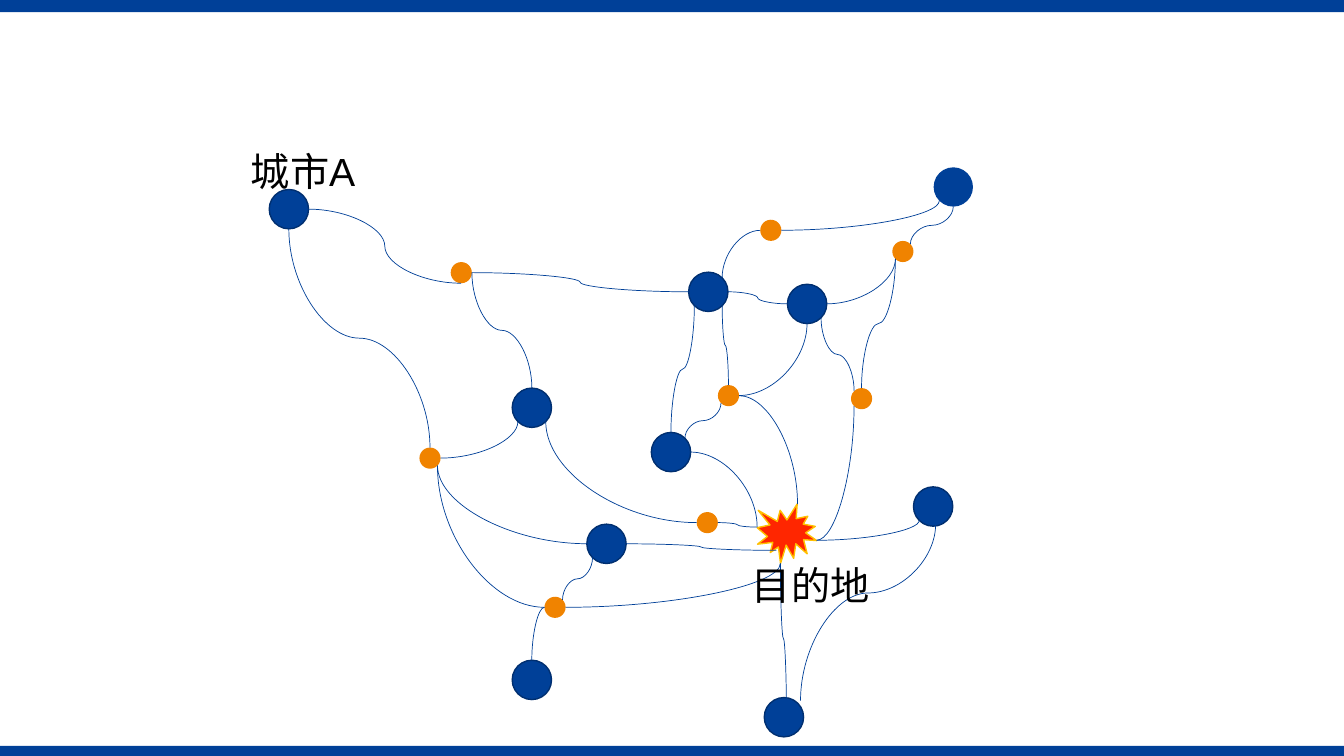
"""Build a slide with a road network leading from city A to a destination."""
from math import sqrt

from lxml import etree
from pptx import Presentation
from pptx import util as u
from pptx.dml.color import RGBColor
from pptx.enum import shapes, text
from pptx.oxml.ns import qn

CITY_SIZE, JUNCTION_SIZE = 0.39, 0.21
CITIES = {
    "A": (2.67, 1.88), "B": (5.08, 3.85), "C": (6.83, 2.7), "D": (7.81, 2.82),
    "E": (9.26, 1.66), "F": (6.46, 4.29), "G": (9.06, 4.83), "H": (5.82, 5.2),
    "I": (5.08, 6.55), "J": (7.58, 6.92),
}
JUNCTIONS = {
    "1": (4.47, 2.6), "2": (8.85, 2.39), "3": (7.54, 2.18), "4": (7.12, 3.82),
    "5": (5.4, 5.92), "6": (6.91, 5.08), "7": (8.44, 3.85), "8": (4.16, 4.44),
}
SPECIAL_PORTS = {
    "goal N": (7.91, 5), "goal E": (8.1, 5.36), "goal S": (7.74, 5.59),
    "goal SW": (7.7, 5.46), "goal W": (7.51, 5.23),
    "J N": (7.8, 7.08), "J NE": (7.94, 6.95), "G S": (9.28, 5.2),
}
BENDS = [
    ("8 E", "B SW"), ("H W", "8 SE"), ("5 W", "I N"), ("5 E", "goal S"),
    ("5 W", "8 SE"), ("4 E", "goal N"), ("4 E", "D S"), ("goal E", "7 SW"),
    ("goal E", "G SW"), ("3 E", "E SW"), ("3 W", "C NE"), ("D E", "2 SW"),
    ("6 W", "B SE"), ("F E", "goal W"),
]
LEVEL_WAVES = [
    ("A E", "1 S"), ("H E", "goal SW"), ("D W", "C E"), ("C W", "1 E"),
    ("goal W", "6 E"),
]
UPRIGHT_WAVES = [
    ("A S", "8 N"), ("1 E", "B N"), ("5 NE", "H SW"), ("C SE", "4 N"),
    ("F NE", "4 SW"), ("D SE", "7 NW"), ("J N", "goal S"), ("2 NE", "E S"),
    ("7 N", "2 SW"), ("C SW", "F N"),
]


def colour(value):
    return RGBColor.from_string(value)


def port(name):
    if name in SPECIAL_PORTS:
        return SPECIAL_PORTS[name]
    node, side = name.split()
    size = CITY_SIZE if node in CITIES else JUNCTION_SIZE
    left, top = CITIES[node] if node in CITIES else JUNCTIONS[node]
    reach = size / 2 / sqrt(len(side))
    across = ("E" in side) - ("W" in side)
    down = ("S" in side) - ("N" in side)
    return left + size / 2 + across * reach, top + size / 2 + down * reach


class RoadMap:
    blue, dark_blue, orange = "004098", "002F70", "F08300"
    red, gold, black = "FF2600", "FFC000", "000000"
    font, font_size = "Arial", 28

    def __init__(self, slide):
        self.slide = slide

    def shape(self, kind, left, top, width, height, fill, line=None):
        shape = self.slide.shapes.add_shape(
            kind, *map(u.Inches, (left, top, width, height)))
        shape.shadow.inherit = False
        shape.fill.solid()
        shape.fill.fore_color.rgb = colour(fill)
        if line:
            shape.line.color.rgb = colour(line)
            shape.line.width = u.Pt(1)
        else:
            shape.line.fill.background()

    def node(self, position, size, fill, line=None):
        self.shape(shapes.MSO_SHAPE.OVAL, *position, size, size, fill, line)

    def road(self, start, end, bend=False, upright=False, middle=None):
        (x1, y1), (x2, y2) = port(start), port(end)
        if upright:
            x, y = (x1 + x2) / 2, (y1 + y2) / 2
            half_width, half_height = (x2 - x1) / 2, (y2 - y1) / 2
            x1, y1 = x + half_height, y - half_width
            x2, y2 = x - half_height, y + half_width
        connector = self.slide.shapes.add_connector(
            shapes.MSO_CONNECTOR.CURVE, *map(u.Inches, (x1, y1, x2, y2)))
        connector.line.color.rgb = colour(self.blue)
        connector.line.width = u.Pt(0.5)
        properties = connector._element.spPr
        etree.SubElement(properties, qn("a:effectLst"))
        geometry = properties.find(qn("a:prstGeom"))
        if upright:
            properties.find(qn("a:xfrm")).set("rot", str(270 * 60000))
        if bend:
            geometry.set("prst", "curvedConnector2")
        if middle:
            guide = etree.SubElement(geometry.find(qn("a:avLst")), qn("a:gd"))
            guide.set("name", "adj1")
            guide.set("fmla", f"val {round(middle * 100000)}")

    def label(self, content, left, top, width, height):
        box = self.slide.shapes.add_textbox(
            *map(u.Inches, (left, top, width, height)))
        frame = box.text_frame
        frame.word_wrap = True
        frame.auto_size = text.MSO_AUTO_SIZE.SHAPE_TO_FIT_TEXT
        paragraph = frame.paragraphs[0]
        paragraph.text = content
        paragraph.font.name = self.font
        paragraph.font.size = u.Pt(self.font_size)
        paragraph.font.color.rgb = colour(self.black)


def main():
    presentation = Presentation()
    presentation.slide_width = u.Inches(13.33)
    presentation.slide_height = u.Inches(7.5)
    slide = presentation.slides.add_slide(presentation.slide_layouts[6])
    road_map = RoadMap(slide)

    for top, height in ((7.4, 0.1), (0, 0.12)):
        road_map.shape(shapes.MSO_SHAPE.RECTANGLE, 0, top, 13.33, height, road_map.blue)
    for name, position in CITIES.items():
        outline = None if name == "E" else road_map.dark_blue
        road_map.node(position, CITY_SIZE, road_map.blue, outline)
    road_map.shape(shapes.MSO_SHAPE.EXPLOSION1, 7.51, 5, 0.59, 0.59,
                   road_map.red, road_map.gold)
    for position in JUNCTIONS.values():
        road_map.node(position, JUNCTION_SIZE, road_map.orange)

    for start, end in BENDS:
        road_map.road(start, end, bend=True)
    for start, end in LEVEL_WAVES:
        road_map.road(start, end)
    for start, end in UPRIGHT_WAVES:
        road_map.road(start, end, upright=True)
    road_map.road("J NE", "G S", upright=True, middle=0.61)

    road_map.label("城市A", 2.39, 1.41, 1.3, 0.57)
    road_map.label("目的地", 7.36, 5.52, 1.67, 0.57)
    presentation.save("out.pptx")


if __name__ == "__main__":
    main()
